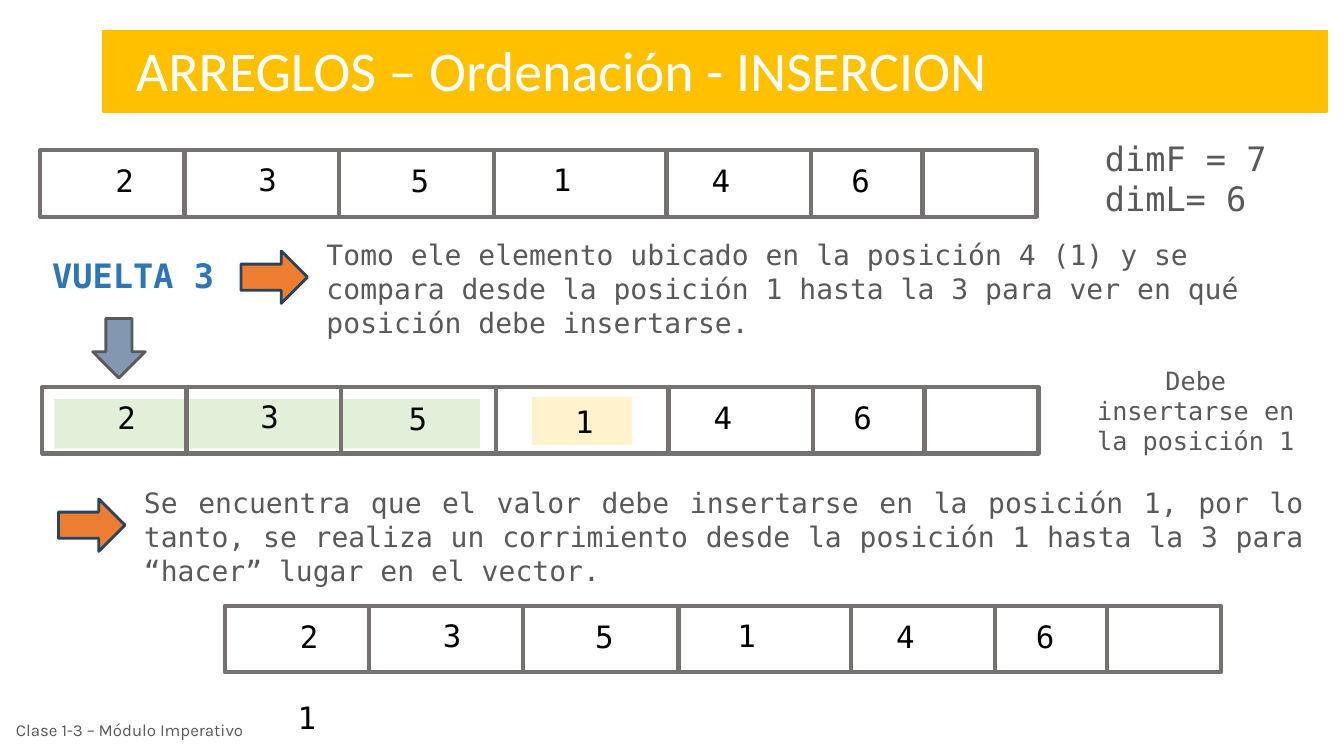
from dataclasses import dataclass

from pptx import Presentation, util as u
from pptx.dml.color import RGBColor
from pptx.enum import shapes, text
from pptx.oxml import parse_xml
from pptx.oxml.ns import nsdecls

PX = 9144  # 100 px to the inch
LEFT, CENTER, JUSTIFY = text.PP_ALIGN.LEFT, text.PP_ALIGN.CENTER, text.PP_ALIGN.JUSTIFY


@dataclass(frozen=True)
class Theme:
    mono: str = "DejaVu Sans Mono"
    heading: str = "Calibri"
    footer: str = "Karla"
    white: str = "FFFFFF"
    black: str = "000000"
    body: str = "595959"
    accent: str = "2E75B6"
    banner: str = "FFC000"
    grid: str = "767171"
    sorted_part: str = "E2F0D9"
    current: str = "FFF2CC"
    orange: str = "ED7D31"
    orange_edge: str = "28445D"
    blue: str = "8497B0"
    title_size: int = 40
    label_size: int = 24
    value_size: int = 22
    text_size: int = 20
    remark_size: int = 18
    footer_size: int = 12


THEME = Theme()

# Offsets inside an array box: (x, y) of dividers, (x, y, width) of values
DIVIDERS = [(143, 0), (296, 0), (450, 0), (621, 0), (764, 2), (875, 2)]
VALUES = {"2": (26, 7, 115), "3": (168, 6, 115), "5": (318, 7, 117),
          "1": (458, 6, 119), "4": (637, 7, 76), "6": (772, 7, 83)}
ARRAY_SIZE = (988, 66)
VALUE_HEIGHT = 47


def px(*lengths):
    return [u.Emu(length * PX) for length in lengths]


def add_block(page, kind, box, fill=None, line=None, width=1, turn=0):
    block = page.shapes.add_shape(kind, *px(*box))
    block.shadow.inherit = False
    block.rotation = turn
    if fill:
        block.fill.solid()
        block.fill.fore_color.rgb = RGBColor.from_string(fill)
    else:
        block.fill.background()
    if line:
        block.line.color.rgb = RGBColor.from_string(line)
        block.line.width = u.Pt(width)
    else:
        block.line.fill.background()


def add_text(page, box, words, size, color=THEME.body, font=THEME.mono,
             align=LEFT, bold=False, grow=True):
    frame = page.shapes.add_textbox(*px(*box)).text_frame
    frame.word_wrap = True
    if grow:
        frame.auto_size = text.MSO_AUTO_SIZE.SHAPE_TO_FIT_TEXT
    else:
        frame.vertical_anchor = text.MSO_ANCHOR.MIDDLE
    frame.text = words
    for para in frame.paragraphs:
        para.alignment = align
        for span in para.runs:
            span.font.name = font
            span.font.size = u.Pt(size)
            span.font.bold = bold
            span.font.color.rgb = RGBColor.from_string(color)


def add_divider(page, x, y, height):
    divider = page.shapes.add_connector(
        shapes.MSO_CONNECTOR.STRAIGHT, *px(x, y, x, y + height))
    divider.line.color.rgb = RGBColor.from_string(THEME.grid)
    divider.line.width = u.Pt(3)
    divider._element.spPr.append(parse_xml(f"<a:effectLst {nsdecls('a')}/>"))


def add_value(page, x, y, width, value):
    add_text(page, (x, y, width, VALUE_HEIGHT), value, THEME.value_size,
             THEME.black, align=CENTER)


def add_array(page, left, top, highlights=(), shifts=None):
    """Seven cells; shifts move single values off their usual place."""
    shifts = shifts or {}
    rect = shapes.MSO_SHAPE.RECTANGLE
    add_block(page, rect, (left, top, *ARRAY_SIZE), line=THEME.grid, width=3)
    for (x, y, width, height), fill, line in highlights:
        add_block(page, rect, (left + x, top + y, width, height), fill, line, 0.75)
    for x, y in DIVIDERS:
        add_divider(page, left + x, top + y, ARRAY_SIZE[1])
    for value, (x, y, width) in VALUES.items():
        dx, dy = shifts.get(value, (0, 0))
        add_value(page, left + x + dx, top + y + dy, width, value)


def add_banner(page, left, top, width, height):
    add_block(page, shapes.MSO_SHAPE.RECTANGLE, (left, top, width, height),
              THEME.banner, THEME.banner)
    add_text(page, (left + 23, top, 935, 77), "ARREGLOS – Ordenación - INSERCION",
             THEME.title_size, THEME.white, THEME.heading)


def add_step(page, left, top, width, words, align=LEFT):
    """Orange arrow pointing right, followed by the explanation."""
    add_block(page, shapes.MSO_SHAPE.DOWN_ARROW, (left, top + 10, 52, 66),
              THEME.orange, THEME.orange_edge, 2, turn=270)
    add_text(page, (left + 68, top - 1, width - 68, 111), words,
             THEME.text_size, align=align)


def add_first_array(page, left, top):
    add_array(page, left, top)
    add_text(page, (left + 1046, top - 17, 230, 91), "dimF = 7\ndimL= 6",
             THEME.label_size)


def add_round(page, left, top):
    add_text(page, (left, top + 16, 230, 50), "VUELTA 3", THEME.label_size,
             THEME.accent, bold=True)
    add_step(page, left + 204, top, 1071,
             "Tomo ele elemento ubicado en la posición 4 (1) y se compara desde la "
             "posición 1 hasta la 3 para ver en qué posición debe insertarse.")
    add_block(page, shapes.MSO_SHAPE.DOWN_ARROW, (left + 50, top + 84, 52, 59),
              THEME.blue, THEME.body, 2)


def add_comparison(page, left, top):
    highlights = [((486, 10, 98, 47), THEME.current, THEME.current),
                  ((12, 12, 422, 49), THEME.sorted_part, None)]
    add_array(page, left, top, highlights, {"5": (-4, 1), "1": (20, 5)})
    add_text(page, (left + 1029, top - 27, 230, 101),
             "Debe insertarse en la posición 1", THEME.remark_size, align=CENTER)


def add_last_array(page, left, top):
    add_array(page, left, top)
    add_value(page, left + 23, top + 87, 117, "1")


def main():
    deck = Presentation()
    deck.slide_width, deck.slide_height = px(1333, 750)
    page = deck.slides.add_slide(deck.slide_layouts[6])

    # Title and initial state
    add_banner(page, 102, 30, 1214, 81)
    add_first_array(page, 40, 149)

    # Third round: compare the current element
    add_round(page, 42, 232)
    add_comparison(page, 42, 384)

    # Shift to make room
    add_step(page, 65, 478, 1238,
             "Se encuentra que el valor debe insertarse en la posición 1, por lo "
             "tanto, se realiza un corrimiento desde la posición 1 hasta la 3 para "
             "“hacer” lugar en el vector.", JUSTIFY)
    add_last_array(page, 223, 601)

    # Footer
    add_text(page, (6, 700, 316, 48), "Clase 1-3 – Módulo Imperativo",
             THEME.footer_size, font=THEME.footer, grow=False)

    deck.save("out.pptx")


if __name__ == "__main__":
    main()
